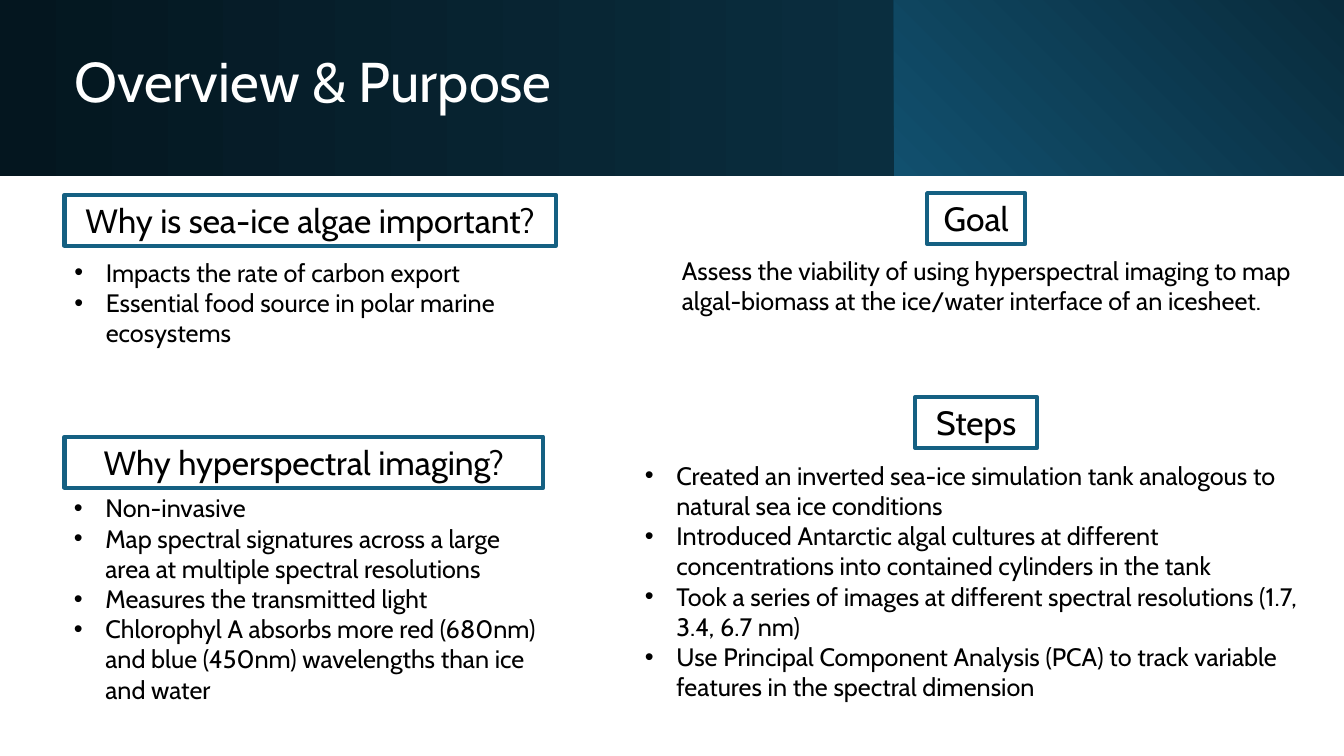
import pptx
import pptx.util
import pptx.dml.color
import pptx.enum.shapes
import pptx.enum.text
import lxml.etree

Pt = pptx.util.Pt
RGBColor = pptx.dml.color.RGBColor
RECTANGLE = pptx.enum.shapes.MSO_SHAPE.RECTANGLE
ALIGN = pptx.enum.text.PP_ALIGN
ANCHOR = pptx.enum.text.MSO_ANCHOR

FONT = "Cabin"
WHITE = RGBColor(0xFF, 0xFF, 0xFF)
BLACK = RGBColor(0x00, 0x00, 0x00)
TEAL = RGBColor(0x15, 0x60, 0x82)
BANNER_DARK = RGBColor(0x04, 0x16, 0x1F)
BANNER_MID = RGBColor(0x0A, 0x2E, 0x3F)
PANEL_BRIGHT = RGBColor(0x11, 0x50, 0x6E)
PANEL_DARK = RGBColor(0x09, 0x2B, 0x3C)

SLIDE_WIDTH, SLIDE_HEIGHT = 960, 540
BANNER_HEIGHT = 125.5
PANEL_LEFT = 638.5
HEADING_HEIGHT = 36.35
BULLET_INDENT = 22.5

# Each section: heading, heading box (left, top, width),
# body box (left, top, width, height), bulleted, body lines
SECTIONS = [
    ("Why is sea-ice algae important?", (46, 139.2, 351), (46, 180, 345, 94), True, [
        "Impacts the rate of carbon export",
        "Essential food source in polar marine ecosystems",
    ]),
    ("Why hyperspectral imaging?", (46, 312, 342), (45.7, 348.3, 345, 170), True, [
        "Non-invasive",
        "Map spectral signatures across a large area at multiple spectral resolutions",
        "Measures the transmitted light",
        "Chlorophyl A absorbs more red (680nm) and blue (450nm) wavelengths than ice and water",
    ]),
    ("Goal", (662.3, 138, 70), (480, 178.5, 459, 73), False, [
        "Assess the viability of using hyperspectral imaging to map algal-biomass "
        "at the ice/water interface of an icesheet.",
    ]),
    ("Steps", (653.8, 283.7, 87), (453.6, 325, 487.5, 181), True, [
        "Created an inverted sea-ice simulation tank analogous to natural sea ice conditions",
        "Introduced Antarctic algal cultures at different concentrations "
        "into contained cylinders in the tank",
        "Took a series of images at different spectral resolutions (1.7, 3.4, 6.7 nm)",
        "Use Principal Component Analysis (PCA) to track variable features "
        "in the spectral dimension",
    ]),
]


def set_font(paragraph, size, color):
    for run in paragraph.runs:
        run.font.name = FONT
        run.font.size = Pt(size)
        run.font.color.rgb = color


def add_bullet(paragraph):
    properties = paragraph._p.get_or_add_pPr()
    properties.set("marL", str(Pt(BULLET_INDENT)))
    properties.set("indent", str(-Pt(BULLET_INDENT)))
    namespace = pptx.oxml.ns.qn
    lxml.etree.SubElement(properties, namespace("a:buFont"), typeface="Arial")
    lxml.etree.SubElement(properties, namespace("a:buChar"), char="•")


def add_rectangle(slide, left, top, width, height):
    shape = slide.shapes.add_shape(RECTANGLE, Pt(left), Pt(top), Pt(width), Pt(height))
    shape.shadow.inherit = False
    return shape


def add_text_box(slide, left, top, width, height, lines, size, color, bulleted=False):
    text_box = slide.shapes.add_textbox(Pt(left), Pt(top), Pt(width), Pt(height))
    text_frame = text_box.text_frame
    text_frame.word_wrap = True
    text_frame.text = "\n".join(lines)
    for paragraph in text_frame.paragraphs:
        if bulleted:
            add_bullet(paragraph)
        set_font(paragraph, size, color)
    return text_frame


def add_gradient(slide, left, top, width, height, colors, angle):
    shape = add_rectangle(slide, left, top, width, height)
    shape.line.fill.background()
    shape.fill.gradient()
    shape.fill.gradient_angle = angle
    for stop, color, position in zip(shape.fill.gradient_stops, colors, (0, 1)):
        stop.color.rgb = color
        stop.position = position


def add_banner(slide, left, top, width, height):
    # Dark band with a brighter panel at its right end
    add_gradient(slide, left, top, PANEL_LEFT, height, (BANNER_DARK, BANNER_MID), 0)
    add_gradient(slide, left + PANEL_LEFT, top, width - PANEL_LEFT, height,
                 (PANEL_BRIGHT, PANEL_DARK), 45)
    # Title
    text_frame = add_text_box(slide, left + 46, top + 20, 779, 81,
                              ["Overview & Purpose"], 40, WHITE)
    text_frame.vertical_anchor = ANCHOR.MIDDLE
    text_frame.paragraphs[0].line_spacing = 0.9


def add_section(slide, heading, heading_box, body_box, bulleted, lines):
    # Framed heading
    shape = add_rectangle(slide, *heading_box, HEADING_HEIGHT)
    shape.fill.background()
    shape.line.color.rgb = TEAL
    shape.line.width = Pt(3)
    text_frame = shape.text_frame
    text_frame.word_wrap = True
    text_frame.vertical_anchor = ANCHOR.TOP
    text_frame.text = heading
    paragraph = text_frame.paragraphs[0]
    paragraph.alignment = ALIGN.CENTER
    set_font(paragraph, 24, BLACK)
    # Body text
    add_text_box(slide, *body_box, lines, 18, BLACK, bulleted)


def main():
    presentation = pptx.Presentation()
    presentation.slide_width = Pt(SLIDE_WIDTH)
    presentation.slide_height = Pt(SLIDE_HEIGHT)
    slide = presentation.slides.add_slide(presentation.slide_layouts[6])
    add_banner(slide, 0, 0, SLIDE_WIDTH, BANNER_HEIGHT)
    for section in SECTIONS:
        add_section(slide, *section)
    presentation.save("out.pptx")


if __name__ == "__main__":
    main()
